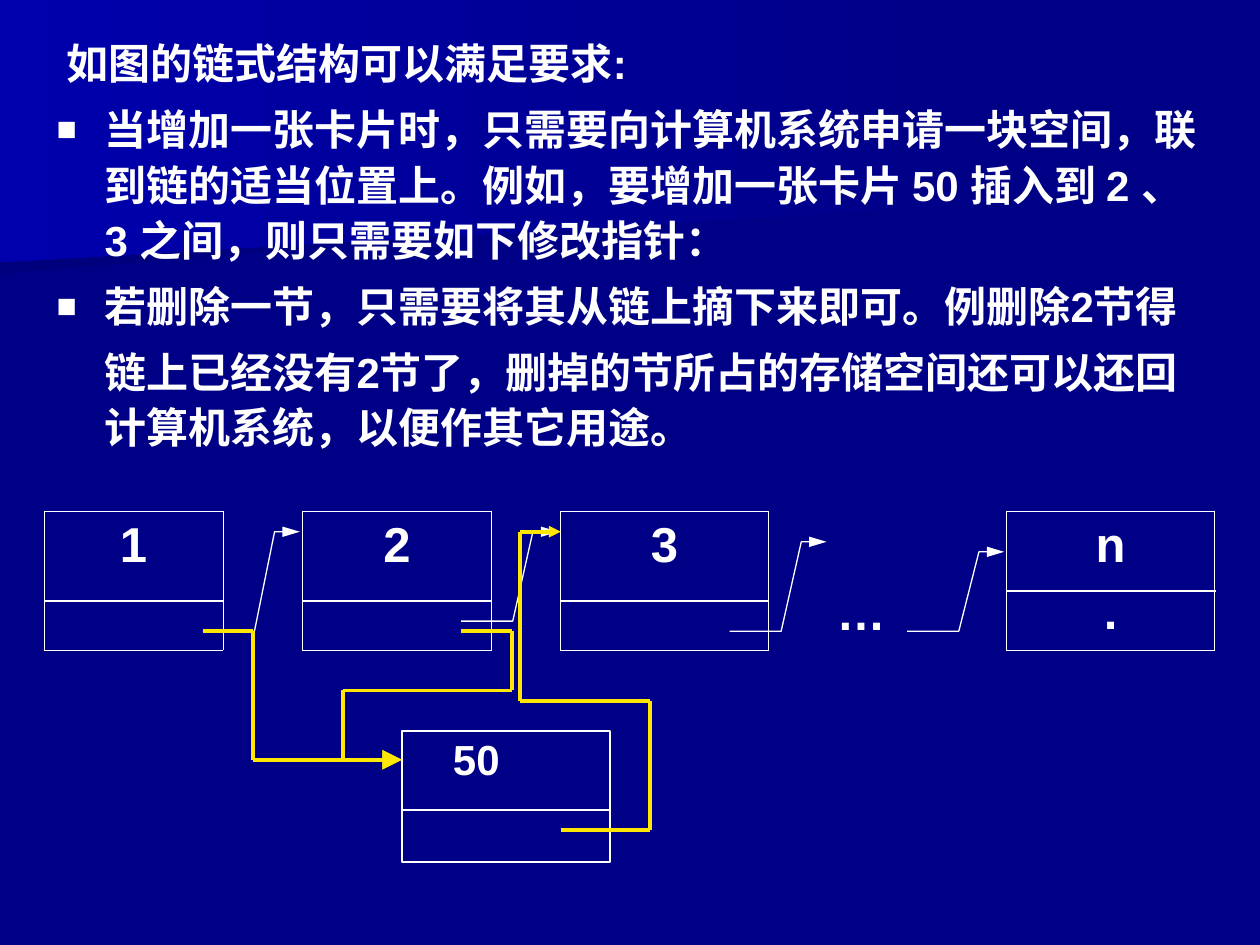
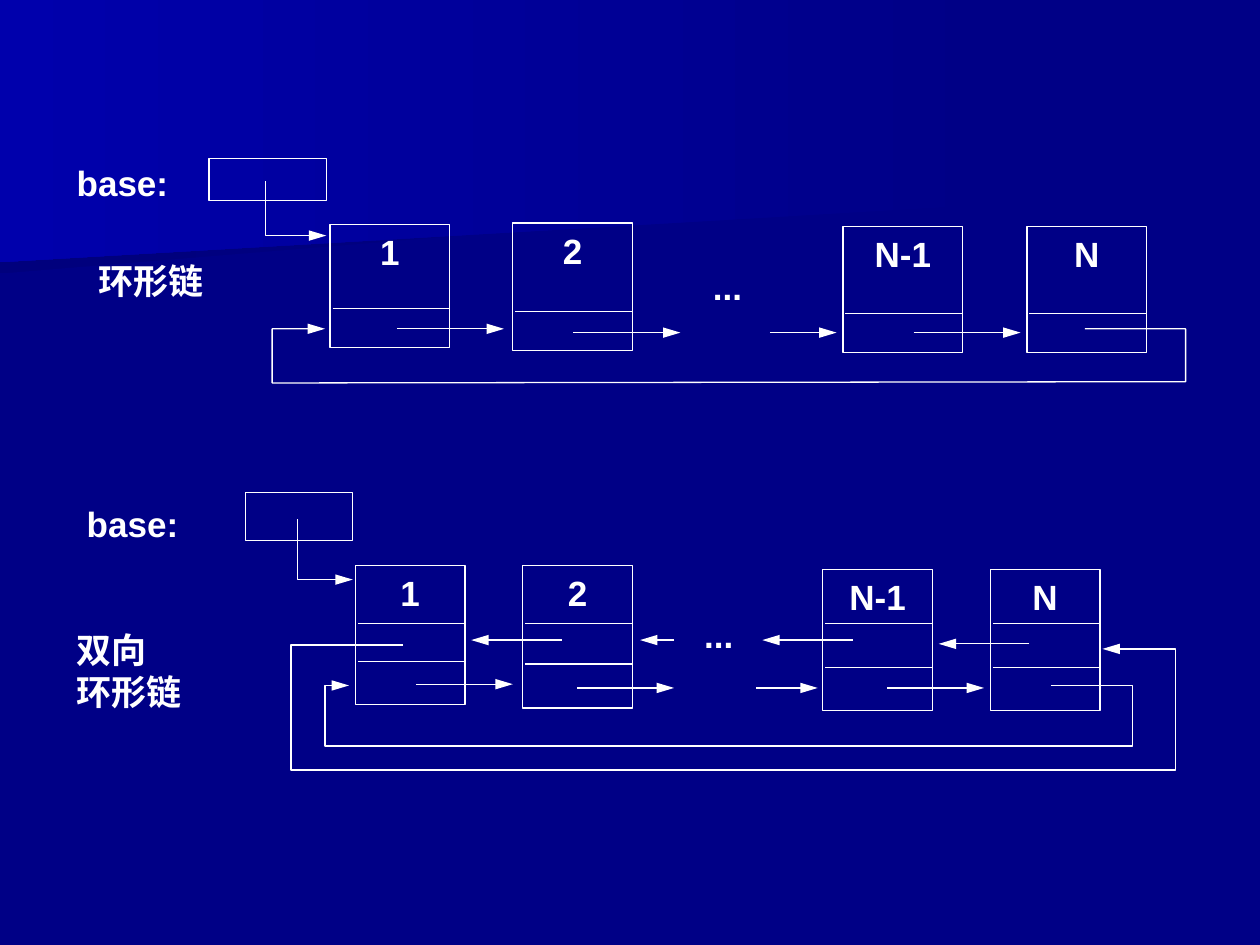
from itertools import pairwise

from lxml.etree import SubElement
from pptx import Presentation
from pptx.dml.color import RGBColor
from pptx.enum.shapes import MSO_CONNECTOR as Connector, MSO_SHAPE as Preset
from pptx.enum.text import MSO_ANCHOR as Anchor, MSO_AUTO_SIZE as AutoSize, PP_ALIGN as Align
from pptx.oxml.ns import qn
from pptx.oxml.xmlchemy import OxmlElement
from pptx.util import Inches, Pt

WHITE, YELLOW, NAVY = "FFFFFF", "FFE701", "000086"
FONT = "Arial"
COLUMNS, ROWS = 100, 75
THIN, RULE, THICK = 0.75, 1, 2.25
LONG_HEAD, LARGE_HEAD, MEDIUM_HEAD = ("med", "lg"), ("lg", "lg"), ("med", "med")


def rgb(code):
    return RGBColor.from_string(code)


def add_bullet(paragraph, bullet):
    properties = paragraph._p.get_or_add_pPr()
    if not bullet:
        SubElement(properties, qn("a:buNone"))
        return
    color = SubElement(properties, qn("a:buClr"))
    SubElement(color, qn("a:srgbClr"), val=WHITE)
    SubElement(properties, qn("a:buSzPct"), val="80000")
    SubElement(properties, qn("a:buFont"), typeface=FONT)
    SubElement(properties, qn("a:buChar"), char=bullet)


def write(frame, text, size=20, align=Align.LEFT, insets=(0.1, 0.05, 0.1, 0.05),
          before=0, spacing=None, bullets=None, indents=None, hang=0):
    frame.word_wrap = True
    frame.margin_left, frame.margin_top, frame.margin_right, frame.margin_bottom = map(Inches, insets)
    for index, line in enumerate(text.split("\n")):
        paragraph = frame.paragraphs[0] if index == 0 else frame.add_paragraph()
        if bullets:
            add_bullet(paragraph, bullets[index])
        if indents:
            properties = paragraph._p.get_or_add_pPr()
            properties.set("marL", str(Inches(hang)))
            properties.set("indent", str(Inches(indents[index])))
        paragraph.add_run().text = line
        paragraph.alignment = align
        paragraph.space_before = Pt(before if index else 0)
        if spacing:
            paragraph.line_spacing = spacing
        font = paragraph.runs[0].font
        font.name, font.size, font.bold = FONT, Pt(size), True
        font.color.rgb = rgb(WHITE)


def set_line(line, color, width, head=None):
    line.color.rgb = rgb(color)
    line.width = Pt(width)
    if head:
        SubElement(line._get_or_add_ln(), qn("a:tailEnd"), type="triangle", w=head[0], len=head[1])


def set_borders(cell, visible_sides):
    properties = cell._tc.get_or_add_tcPr()
    for index, side in enumerate("LRTB"):
        border = OxmlElement(f"a:ln{side}")
        border.set("w", str(Pt(0.45)))
        if side in visible_sides:
            fill = SubElement(border, qn("a:solidFill"))
            SubElement(fill, qn("a:srgbClr"), val=WHITE)
        else:
            SubElement(border, qn("a:noFill"))
        properties.insert(index, border)


class Deck:
    def __init__(self):
        self.presentation = Presentation()
        self.presentation.slide_width = Inches(10)
        self.presentation.slide_height = Inches(7.5)
        self.slide = None

    def x(self, columns):
        return round(self.presentation.slide_width * columns / COLUMNS)

    def y(self, rows):
        return round(self.presentation.slide_height * rows / ROWS)

    def frame(self, left, top, width, height):
        return self.x(left), self.y(top), self.x(width), self.y(height)

    def add_slide(self, layout):
        layouts = self.presentation.slide_layouts
        self.slide = self.presentation.slides.add_slide(layouts.get_by_name(layout))

    def paint_master(self):
        master = self.presentation.slide_master
        master.background.fill.solid()
        master.background.fill.fore_color.rgb = rgb(NAVY)
        bands = [
            ("00007D", [(77.8, 15.3), (0, 21.7), (0, 10.1), (77.9, 10.1), (77.8, 12.8)]),
            ("0000AC", [(79.2, 16.2), (0, 20.8), (0, 0), (79.2, 0)]),
        ]
        for index, (edge_color, points) in enumerate(bands):
            band = self.outline(points, close=True)
            band.line.fill.background()
            band.fill.gradient()
            band.fill.gradient_angle = 180
            for stop, color in zip(band.fill.gradient_stops, (NAVY, edge_color)):
                stop.color.rgb = rgb(color)
            master.shapes._spTree.insert(2 + index, band._element)

    def outline(self, points, close=False):
        start, *rest = [(self.x(column), self.y(row)) for column, row in points]
        builder = self.slide.shapes.build_freeform(*start, scale=1.0)
        builder.add_line_segments(rest, close=close)
        shape = builder.convert_to_shape()
        shape.shadow.inherit = False
        return shape

    def pointer(self, *points):
        shape = self.outline(points)
        shape.fill.background()
        set_line(shape.line, WHITE, THIN, LONG_HEAD)

    def line(self, start, end, color=WHITE, width=THIN, head=None):
        connector = self.slide.shapes.add_connector(
            Connector.STRAIGHT, self.x(start[0]), self.y(start[1]), self.x(end[0]), self.y(end[1]))
        set_line(connector.line, color, width, head)
        SubElement(connector._element.spPr, qn("a:effectLst"))

    def arrow(self, start, end, row):
        self.line((start, row), (end, row), head=LONG_HEAD)

    def route(self, head, *points):
        for start, end in pairwise(points):
            self.line(start, end, YELLOW, THICK, head if end == points[-1] else None)

    def box(self, left, top, width, height, text="", line_width=THIN, **style):
        shape = self.slide.shapes.add_shape(Preset.RECTANGLE, *self.frame(left, top, width, height))
        shape.shadow.inherit = False
        shape.fill.background()
        set_line(shape.line, WHITE, line_width)
        if text:
            shape.text_frame.vertical_anchor = Anchor.TOP
            write(shape.text_frame, text, align=Align.CENTER, **style)

    def node(self, label, left, top, width, height, dividers):
        self.box(left, top, width, height, label)
        for row in dividers:
            self.line((left + 0.2, row), (left + width, row))

    def label(self, left, top, width, height, text):
        shape = self.slide.shapes.add_textbox(*self.frame(left, top, width, height))
        write(shape.text_frame, text)

    def body(self, left, top, width, height, text, **style):
        title, body = self.slide.shapes.title, self.slide.placeholders[1]
        title._element.getparent().remove(title._element)
        body.left, body.top, body.width, body.height = self.frame(left, top, width, height)
        body.text_frame.auto_size = AutoSize.NONE
        body.text_frame.vertical_anchor = Anchor.TOP
        write(body.text_frame, text, **style)

    def table(self, left, top, height, cells):
        width = sum(cell_width for cell_width, _, _ in cells)
        table = self.slide.shapes.add_table(1, len(cells), *self.frame(left, top, width, height)).table
        table.first_row = table.horz_banding = False
        for index, (cell_width, text, style) in enumerate(cells):
            table.columns[index].width = self.x(cell_width)
            cell = table.cell(0, index)
            cell.fill.background()
            set_borders(cell, "LR" if index % 2 else "LRTB")
            if text:
                insets = style.get("insets", (0.01, 0.05, 0.01, 0.05))
                write(cell.text_frame, text, size=28, before=7, align=style.get("align", Align.CENTER))
                cell.margin_left, cell.margin_top, cell.margin_right, cell.margin_bottom = map(Inches, insets)


def build_linked_list(deck):
    deck.body(
        3.5, 2.1, 92.9, 37,
        "如图的链式结构可以满足要求:\n"
        "当增加一张卡片时，只需要向计算机系统申请一块空间，联到链的适当位置上。"
        "例如，要增加一张卡片 50 插入到 2 、3 之间，则只需要如下修改指针：\n"
        "若删除一节，只需要将其从链上摘下来即可。例删除2节得\n"
        "链上已经没有2节了，删掉的节所占的存储空间还可以还回计算机系统，以便作其它用途。",
        size=24, before=6, spacing=1.1, hang=0.38,
        bullets=(None, "■", "■", None), indents=(-0.3, -0.38, -0.38, 0))

    for left, low, high in ((16.1, 50.1, 42.2), (36.6, 49.3, 42.2), (57.9, 50.1, 43), (72, 50.1, 43.8)):
        deck.pointer((left, low), (left + 4.1, low), (left + 5.7, high), (left + 7.7, high))

    deck.table(3.5, 40.6, 11, [
        (14.2, "1", {}), (6.3, "", {}), (15, "2", {}), (5.5, "", {}), (16.5, "3", {}),
        (18.9, "…", {"align": Align.LEFT, "insets": (0.54, 0.59, 0.01, 0.05)}),
        (16.5, "n\n.", {}),
    ])
    for left, right, row in ((3.5, 17.7, 47.7), (24, 39, 47.7), (44.5, 61, 47.7), (79.9, 96.5, 46.9)):
        deck.line((left, row), (right, row), width=RULE)

    deck.box(31.9, 58, 16.5, 10.4, "50", line_width=RULE, size=24, insets=(0.01, 0.02, 0.48, 0.01))
    deck.line((31.9, 64.3), (48.4, 64.3), width=RULE)
    deck.route(LARGE_HEAD, (36.6, 50.1), (40.6, 50.1), (40.6, 54.8), (27.2, 54.8), (27.2, 60.3), (31.9, 60.3))
    deck.route(MEDIUM_HEAD, (44.5, 65.9), (51.6, 65.9), (51.6, 55.6), (41.3, 55.6), (41.3, 42.2), (44.5, 42.2))
    deck.route(LARGE_HEAD, (16.1, 50.1), (20.1, 50.1), (20.1, 60.3), (31.9, 60.3))


def build_circular_list(deck):
    deck.label(5.1, 12.3, 12.9, 3.5, "base:")
    deck.label(6.8, 20.1, 10.6, 4.1, "环形链")
    deck.label(55.6, 20.6, 5.8, 4.3, "...")
    deck.box(16.6, 12.6, 9.3, 3.3)
    deck.pointer((21.1, 14.4), (21.1, 18.7), (25.9, 18.7))
    for label, left, top, height, divider in (
            ("1", 26.2, 17.8, 9.8, 24.5), ("2", 40.7, 17.7, 10.1, 24.7),
            ("N-1", 66.9, 18, 10, 24.9), ("N", 81.5, 18, 10, 24.9)):
        deck.node(label, left, top, 9.5, height, [divider])
    for start, end, row in ((31.5, 40, 26.1), (45.5, 54, 26.4), (61.1, 66.4, 26.4), (72.5, 81, 26.4)):
        deck.arrow(start, end, row)
    deck.pointer((86.1, 26.1), (94.1, 26.1), (94.1, 30.3), (21.6, 30.4), (21.6, 26.1), (25.8, 26.1))


def build_double_list(deck):
    deck.label(5.9, 39.4, 13.6, 4.1, "base:")
    deck.label(5.1, 49.4, 15.4, 5.7, "双向\n环形链")
    deck.label(54.9, 48.2, 5.3, 4.8, "...")
    deck.box(19.5, 39.1, 8.5, 3.8)
    deck.pointer((23.6, 41.2), (23.6, 46), (28, 46))
    for label, left, top, height, divider in (
            ("1", 28.2, 44.9, 11, 52.5), ("2", 41.5, 44.9, 11.3, 52.7),
            ("N-1", 65.3, 45.2, 11.2, 53), ("N", 78.6, 45.2, 11.2, 53)):
        deck.node(label, left, top, 8.7, height, [49.5, divider])
    for start, end, row in (
            (33, 40.7, 54.3), (45.8, 53.5, 54.6), (60, 64.9, 54.6), (70.4, 78.1, 54.6),
            (81.7, 74.5, 51.1), (67.7, 60.5, 50.8), (53.5, 50.8, 50.8), (44.6, 37.4, 50.8)):
        deck.arrow(start, end, row)
    deck.pointer((83.4, 54.4), (89.9, 54.4), (89.9, 59.2), (25.8, 59.2), (25.8, 54.4), (27.7, 54.4))
    deck.pointer((32, 51.2), (23.1, 51.2), (23.1, 61.1), (93.3, 61.1), (93.3, 51.5), (87.5, 51.5))


def main():
    deck = Deck()
    deck.add_slide("Title and Content")
    deck.paint_master()
    build_linked_list(deck)
    deck.add_slide("Blank")
    build_circular_list(deck)
    build_double_list(deck)
    deck.presentation.save("out.pptx")


if __name__ == "__main__":
    main()
